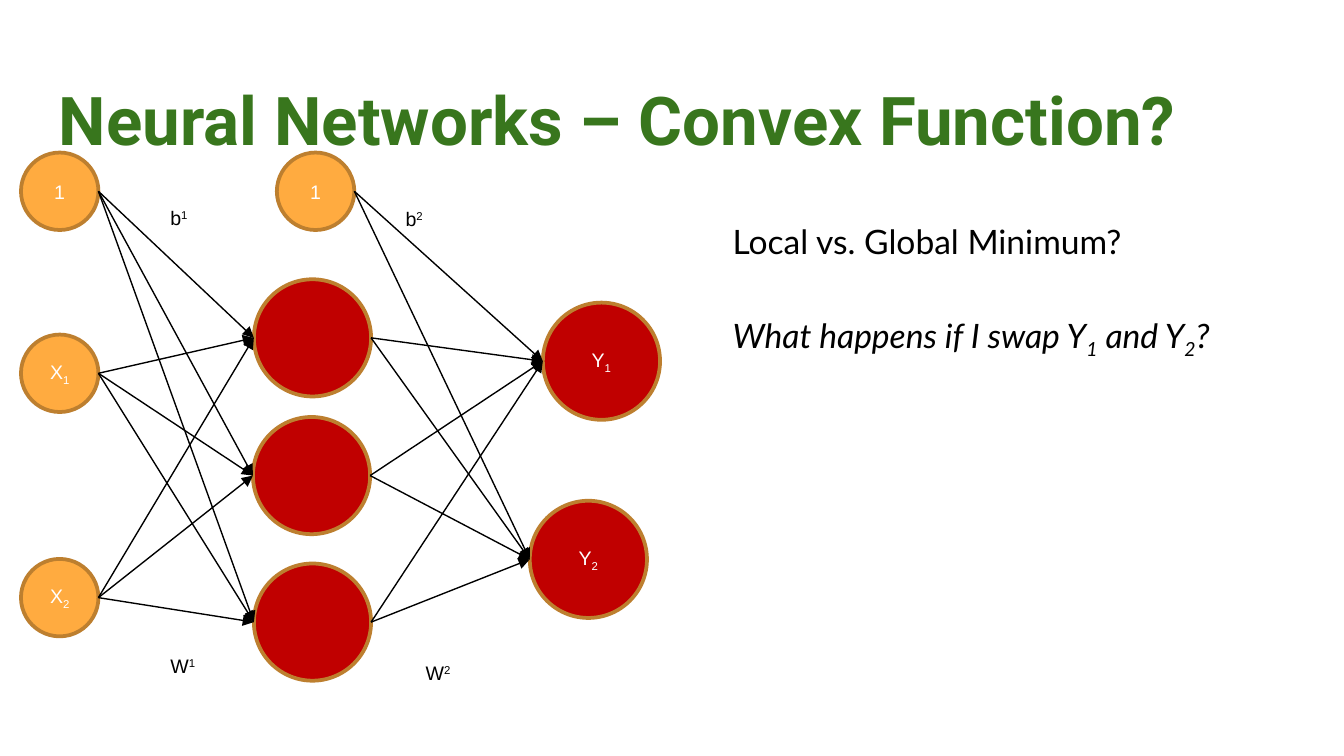
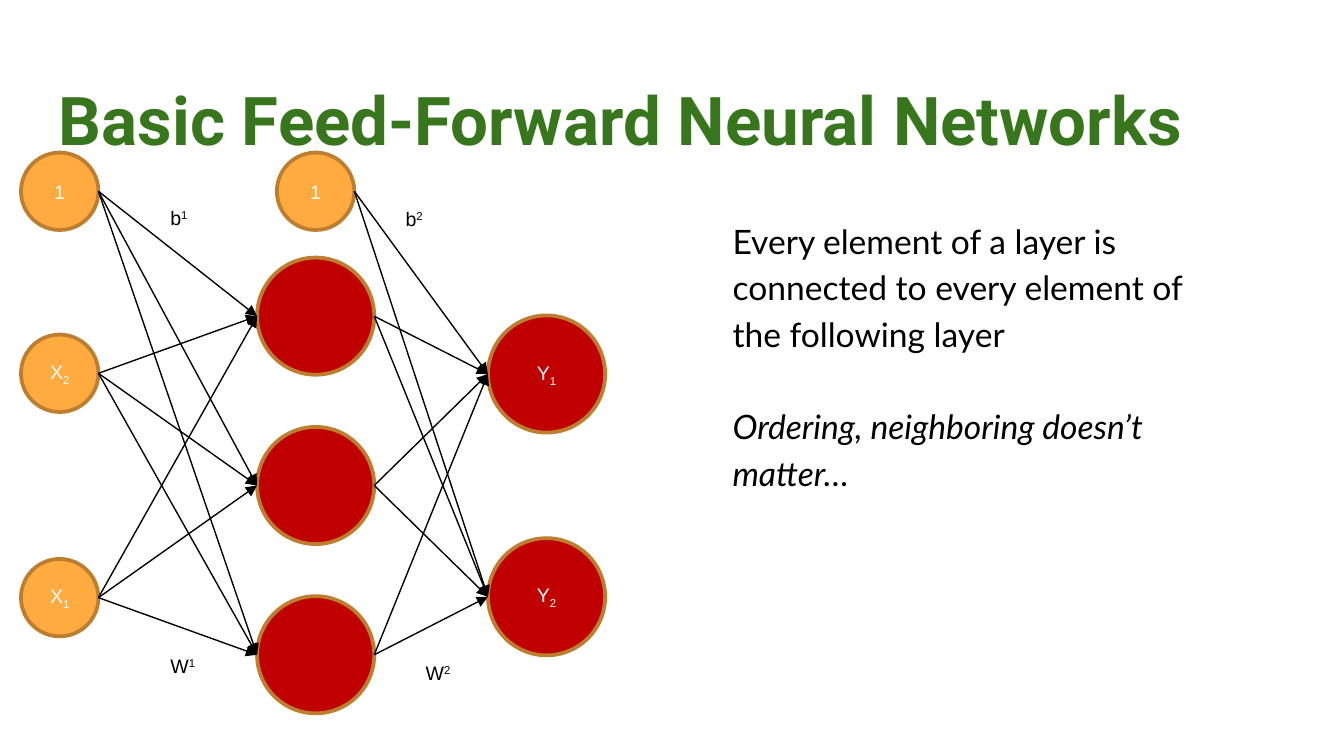
"""Build two slides that each show a feed-forward network beside a short remark."""
from lxml import etree
from pptx import Presentation
from pptx.dml.color import RGBColor
from pptx.enum.shapes import MSO_CONNECTOR, MSO_SHAPE
from pptx.enum.text import MSO_ANCHOR, PP_ALIGN
from pptx.oxml.ns import qn
from pptx.util import Pt

BLACK, WHITE, GREEN = "000000", "FFFFFF", "38761D"
ORANGE, RED, BROWN = "FFAB40", "C00000", "BD7F2F"
SMALL, LARGE = 41.5, 62.8
BASELINES = {"_": -25000, "^": 30000}

INPUT_X, INPUT_YS = 32, (102.5, 200, 320.2)
HIDDEN_BIAS = ("1", 169.1, 102.5)
WEIGHT_LABELS = [("b^1", 84.2, 106.6), ("b^2", 210.2, 107.3),
                 ("W^1", 84.2, 347), ("W^2", 221, 350.6)]

SLIDES = [
    {
        "title": "Neural Networks – Convex Function?",
        "remark": "Local vs. Global Minimum?",
        "aside": "What happens if I swap Y_1 and Y_2?",
        "body_height": 257,
        "inputs": ["1", "X_1", "X_2"],
        "hidden": [("", 167.4, 181), ("", 166.9, 254.8), ("", 167.4, 333.3)],
        "outputs": [("Y_1", 322.2, 193.5), ("Y_2", 315.2, 299.7)],
    },
    {
        "title": "Basic Feed-Forward Neural Networks",
        "remark": "Every element of a layer is connected to every element of the following layer",
        "aside": "Ordering, neighboring doesn’t matter…",
        "body_height": 297.4,
        "inputs": ["1", "X_2", "X_1"],
        "hidden": [("", 169.1, 169.4 + 90.7 * i) for i in range(3)],
        "outputs": [("Y_1", 292.8, 200.4), ("Y_2", 292.8, 319.7)],
    },
]


def rgb(color):
    return RGBColor.from_string(color)


def split_runs(text):
    mark = "^" if "^" in text else "_"
    head, *rest = text.split(mark)
    runs = [(head, 0)]
    for part in rest:
        runs += [(part[0], BASELINES[mark]), (part[1:], 0)]
    return [run for run in runs if run[0]]


def write(p, text, size=10.5, font="Arial", color=BLACK, bold=False, italic=False,
          align=None, spacing=None, before=None):
    p.alignment, p.line_spacing = align, spacing
    if before:
        p.space_before = Pt(before)
    for piece, baseline in split_runs(text):
        r = p.add_run()
        r.text = piece
        f = r.font
        f.size, f.name, f.bold, f.italic = Pt(size), font, bold, italic
        f.color.rgb = rgb(color)
        if baseline:
            r._r.get_or_add_rPr().set("baseline", str(baseline))


def add_box(s, x, y, w, h, inset=None):
    tf = s.shapes.add_textbox(Pt(x), Pt(y), Pt(w), Pt(h)).text_frame
    tf.word_wrap = True
    if inset:
        tf.margin_left = tf.margin_top = tf.margin_right = tf.margin_bottom = Pt(inset)
    return tf


def add_node(s, label, cx, cy, d, fill):
    sp = s.shapes.add_shape(MSO_SHAPE.OVAL, Pt(cx - d / 2), Pt(cy - d / 2), Pt(d), Pt(d))
    sp.shadow.inherit = False
    sp.fill.solid()
    sp.fill.fore_color.rgb = rgb(fill)
    sp.line.color.rgb = rgb(BROWN)
    sp.line.width = Pt(2)
    if label:
        sp.text_frame.vertical_anchor = MSO_ANCHOR.MIDDLE
        write(sp.text_frame.paragraphs[0], label, color=WHITE, align=PP_ALIGN.CENTER)
    return (cx - d / 2, cy), (cx + d / 2, cy)


def add_arrow(s, start, end):
    line = s.shapes.add_connector(MSO_CONNECTOR.STRAIGHT, *map(Pt, start + end))
    line.line.color.rgb = rgb(BLACK)
    line.line.width = Pt(0.75)
    etree.SubElement(line.line._get_or_add_ln(), qn("a:tailEnd"), type="triangle")
    etree.SubElement(line._element.spPr, qn("a:effectLst"))


def connect(s, sources, targets):
    for _, start in sources:
        for end, _ in targets:
            add_arrow(s, start, end)


def add_network(s, content):
    inputs = [add_node(s, label, INPUT_X, y, SMALL, ORANGE)
              for label, y in zip(content["inputs"], INPUT_YS)]
    bias = add_node(s, *HIDDEN_BIAS, SMALL, ORANGE)
    hidden = [add_node(s, *node, LARGE, RED) for node in content["hidden"]]
    outputs = [add_node(s, *node, LARGE, RED) for node in content["outputs"]]
    connect(s, inputs, hidden)
    connect(s, [bias] + hidden, outputs)
    for label, x, y in WEIGHT_LABELS:
        write(add_box(s, x, y, 34.6, 20).paragraphs[0], label)


def add_slide(prs, content):
    s = prs.slides.add_slide(prs.slide_layouts[6])
    title = add_box(s, 24.5, 35, 671, 45, inset=7.2)
    write(title.paragraphs[0], content["title"], size=36, font="Roboto", color=GREEN, bold=True)
    body = add_box(s, 385.4, 108, 285, content["body_height"], inset=7.2)
    style = {"size": 18, "font": "Lato", "spacing": 1.15}
    write(body.paragraphs[0], content["remark"], **style)
    write(body.add_paragraph(), content["aside"], italic=True, before=24.8, **style)
    add_network(s, content)


def main():
    prs = Presentation()
    prs.slide_width, prs.slide_height = Pt(720), Pt(405)
    for content in SLIDES:
        add_slide(prs, content)
    prs.save("out.pptx")


if __name__ == "__main__":
    main()
